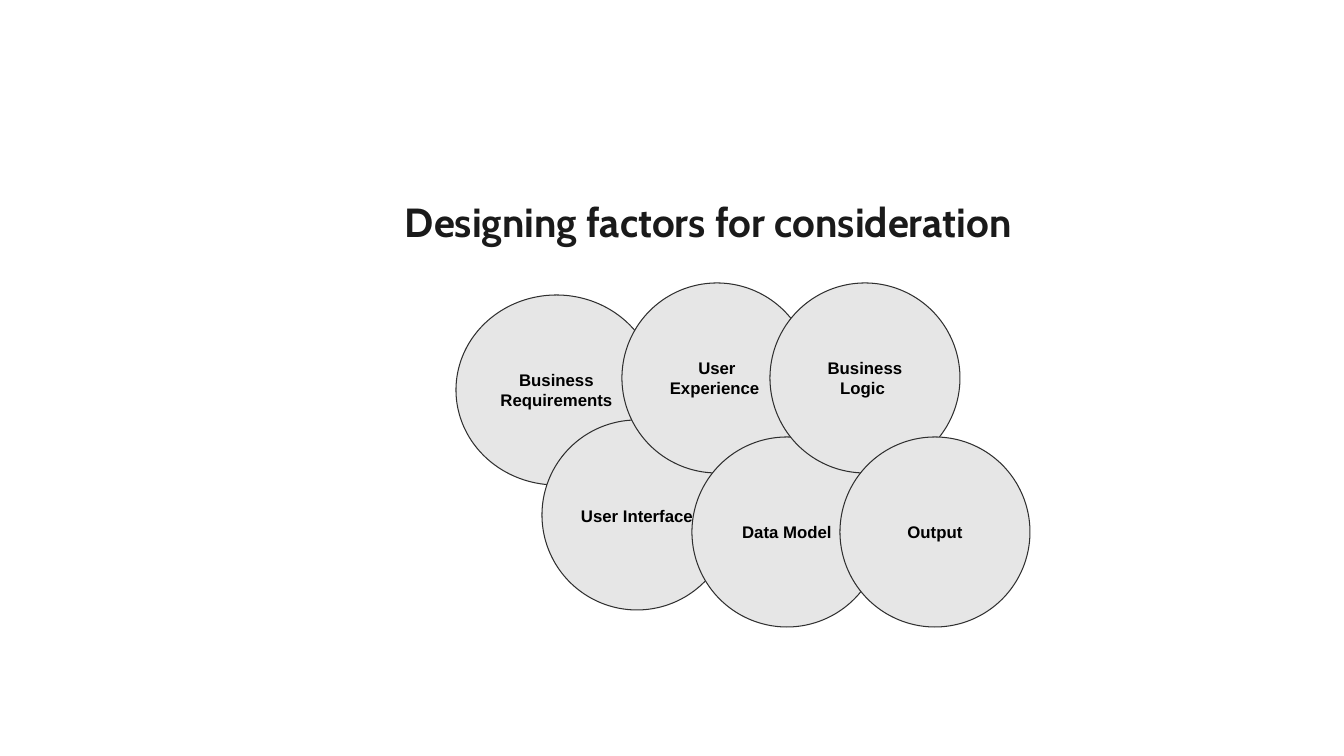
from pptx import Presentation
from pptx.dml.color import RGBColor
from pptx.enum.shapes import MSO_SHAPE
from pptx.enum.text import MSO_ANCHOR, PP_ALIGN
from pptx.util import Pt

OVAL = MSO_SHAPE.OVAL
MIDDLE, BOTTOM = MSO_ANCHOR.MIDDLE, MSO_ANCHOR.BOTTOM
LEFT, CENTER = PP_ALIGN.LEFT, PP_ALIGN.CENTER

# Content: label runs (text, format changes), left, top, width in px
TITLE = "Designing factors for consideration"
SIZE = 190
UPPER, LOWER = 283, 437
FACTORS = [
    ([("Business Requirements", {})], 456, 295, 201),
    ([("User Interface", {}), (" ", {"size": Pt(14), "bold": False})], 542, 420, SIZE),
    ([("User Experience ", {})], 622, UPPER, SIZE),
    ([("Data Model", {})], 692, LOWER, SIZE),
    ([("Business Logic ", {})], 770, UPPER, SIZE),
    ([("Output", {})], 840, LOWER, SIZE),
]
COLORS = {"title": "1A1A1A", "fill": "E6E6E6", "line": "2F2F2F", "label": "000000"}
HEAD = {"name": "Cabin", "size": Pt(29), "bold": True}
LABEL = {"name": "Arial", "size": Pt(12), "bold": True}


def px(n):
    return round(n * 914400 / 100.8)


def color(key):
    return RGBColor.from_string(COLORS[key])


def place(shape, *box):
    for name, n in zip(("left", "top", "width", "height"), box):
        setattr(shape, name, px(n))


def setup(frame, pad, anchor, align):
    for side in ("left", "top", "right", "bottom"):
        setattr(frame, "margin_" + side, px(pad))
    frame.word_wrap = True
    frame.vertical_anchor = anchor
    para = frame.paragraphs[0]
    para.alignment = align
    return para


def write(para, text, form, key):
    run = para.add_run()
    run.text = text
    for name, value in form.items():
        setattr(run.font, name, value)
    run.font.color.rgb = color(key)


deck = Presentation()
deck.slide_width, deck.slide_height = px(1344), px(756)
slide = deck.slides.add_slide(deck.slide_layouts[5])

# Title
title = slide.shapes.title
place(title, 405, 184, 939, 62)
para = setup(title.text_frame, 0, BOTTOM, LEFT)
para.line_spacing = 1.3
write(para, TITLE, HEAD, "title")

# Overlapping circles, back to front
for runs, left, top, width in FACTORS:
    disc = slide.shapes.add_shape(OVAL, 0, 0, 0, 0)
    place(disc, left, top, width, SIZE)
    disc.shadow.inherit = False
    disc.fill.solid()
    disc.fill.fore_color.rgb = color("fill")
    disc.line.color.rgb = color("line")
    disc.line.width = Pt(0.75)
    para = setup(disc.text_frame, 10, MIDDLE, CENTER)
    for text, change in runs:
        write(para, text, {**LABEL, **change}, "label")

deck.save("out.pptx")
